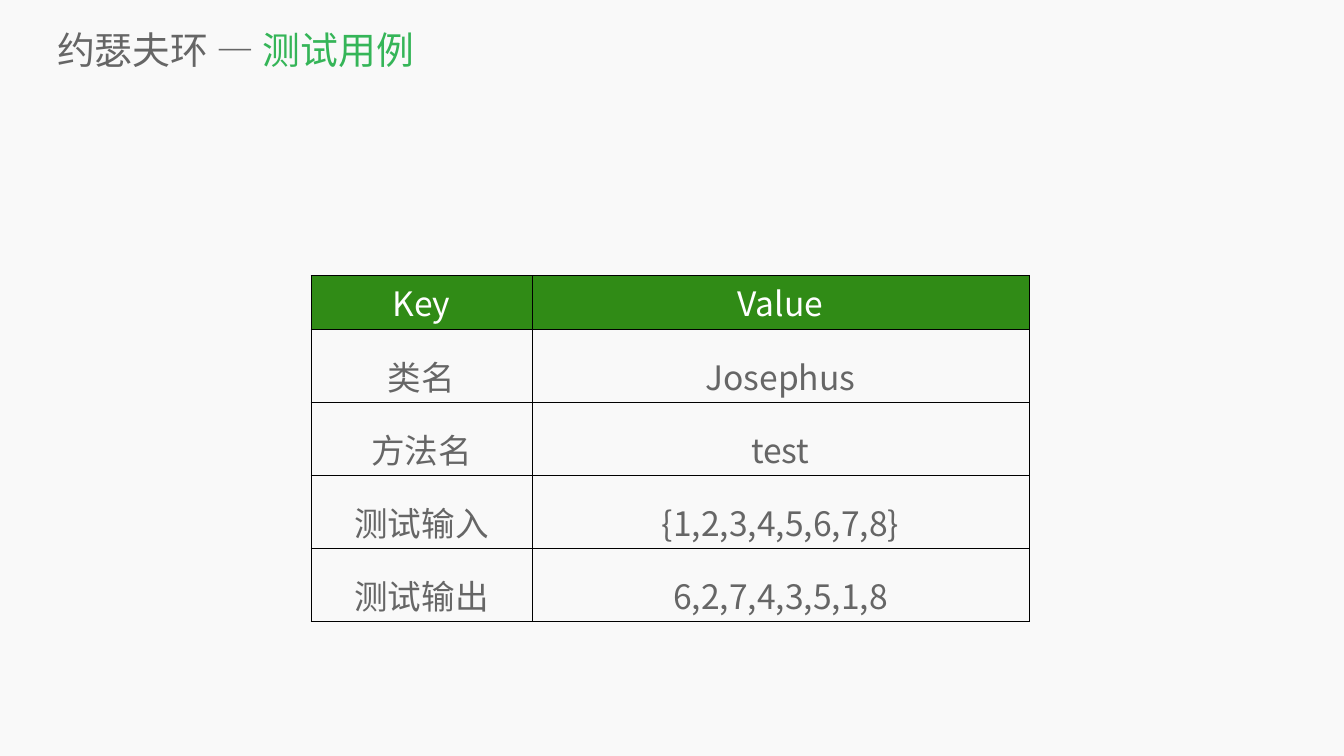
from lxml.etree import SubElement
from pptx import Presentation
from pptx.dml.color import RGBColor
from pptx.enum.text import MSO_ANCHOR, PP_ALIGN
from pptx.oxml import parse_xml
from pptx.oxml.ns import nsdecls, qn
from pptx.util import Pt

BACKGROUND = RGBColor(0xF9, 0xF9, 0xF9)
GREY = RGBColor(0x66, 0x66, 0x66)
ACCENT = RGBColor(0x35, 0xB5, 0x58)
HEADER_GREEN = RGBColor(0x30, 0x8B, 0x16)
WHITE = RGBColor(0xFF, 0xFF, 0xFF)
BORDER = RGBColor(0x00, 0x00, 0x00)
FONT = "Noto Sans CJK SC"

TITLE = [("约瑟夫环 — ", GREY), ("测试用例", ACCENT)]
TEST_CASE = [
    ("Key", "Value"),
    ("类名", "Josephus"),
    ("方法名", "test"),
    ("测试输入", "{1,2,3,4,5,6,7,8}"),
    ("测试输出", "6,2,7,4,3,5,1,8"),
]
COLUMN_WIDTHS = (221, 497)
HEADER_HEIGHT, BODY_HEIGHT = 54, 73


def px(length):
    return round(length * 914400 / 50.4)


def set_font(paragraph, size, color=None):
    font = paragraph.font
    font.size = Pt(size)
    font.bold = False
    if color is not None:
        font.color.rgb = color
    font.name = FONT
    SubElement(font._element, qn("a:ea"), typeface=FONT)


def add_borders(cell):
    properties = cell._tc.get_or_add_tcPr()
    for position, side in enumerate(("lnL", "lnR", "lnT", "lnB")):
        properties.insert(position, parse_xml(
            f'<a:{side} {nsdecls("a")} w="{Pt(1)}"><a:solidFill>'
            f'<a:srgbClr val="{BORDER}"/></a:solidFill></a:{side}>'))


def add_title(slide):
    frame = slide.shapes.add_textbox(px(57), px(24), px(1268), px(51)).text_frame
    frame.word_wrap = True
    frame.vertical_anchor = MSO_ANCHOR.MIDDLE
    frame.margin_left = frame.margin_right = frame.margin_top = frame.margin_bottom = 0
    heading = frame.paragraphs[0]
    set_font(heading, 54)
    for words, color in TITLE:
        run = heading.add_run()
        run.text = words
        run.font.color.rgb = color


def add_test_case(slide):
    heights = [HEADER_HEIGHT] + [BODY_HEIGHT] * (len(TEST_CASE) - 1)
    table = slide.shapes.add_table(
        len(TEST_CASE), len(COLUMN_WIDTHS), px(311), px(275.5),
        px(sum(COLUMN_WIDTHS)), px(sum(heights))).table
    table.first_row = table.horz_banding = False
    for column, width in zip(table.columns, COLUMN_WIDTHS):
        column.width = px(width)
    for index, (row, height, entries) in enumerate(zip(table.rows, heights, TEST_CASE)):
        row.height = px(height)
        for cell, entry in zip(row.cells, entries):
            cell.text = entry
            paragraph = cell.text_frame.paragraphs[0]
            paragraph.alignment = PP_ALIGN.CENTER
            if index == 0:
                cell.fill.solid()
                cell.fill.fore_color.rgb = HEADER_GREEN
                set_font(paragraph, 48, WHITE)
            else:
                cell.fill.background()
                paragraph.line_spacing = 1.4
                set_font(paragraph, 48, GREY)
            add_borders(cell)


def main():
    deck = Presentation()
    deck.slide_width, deck.slide_height = px(1344), px(756)
    slide = deck.slides.add_slide(deck.slide_layouts[6])
    slide.background.fill.solid()
    slide.background.fill.fore_color.rgb = BACKGROUND
    add_title(slide)
    add_test_case(slide)
    deck.save("out.pptx")


if __name__ == "__main__":
    main()
